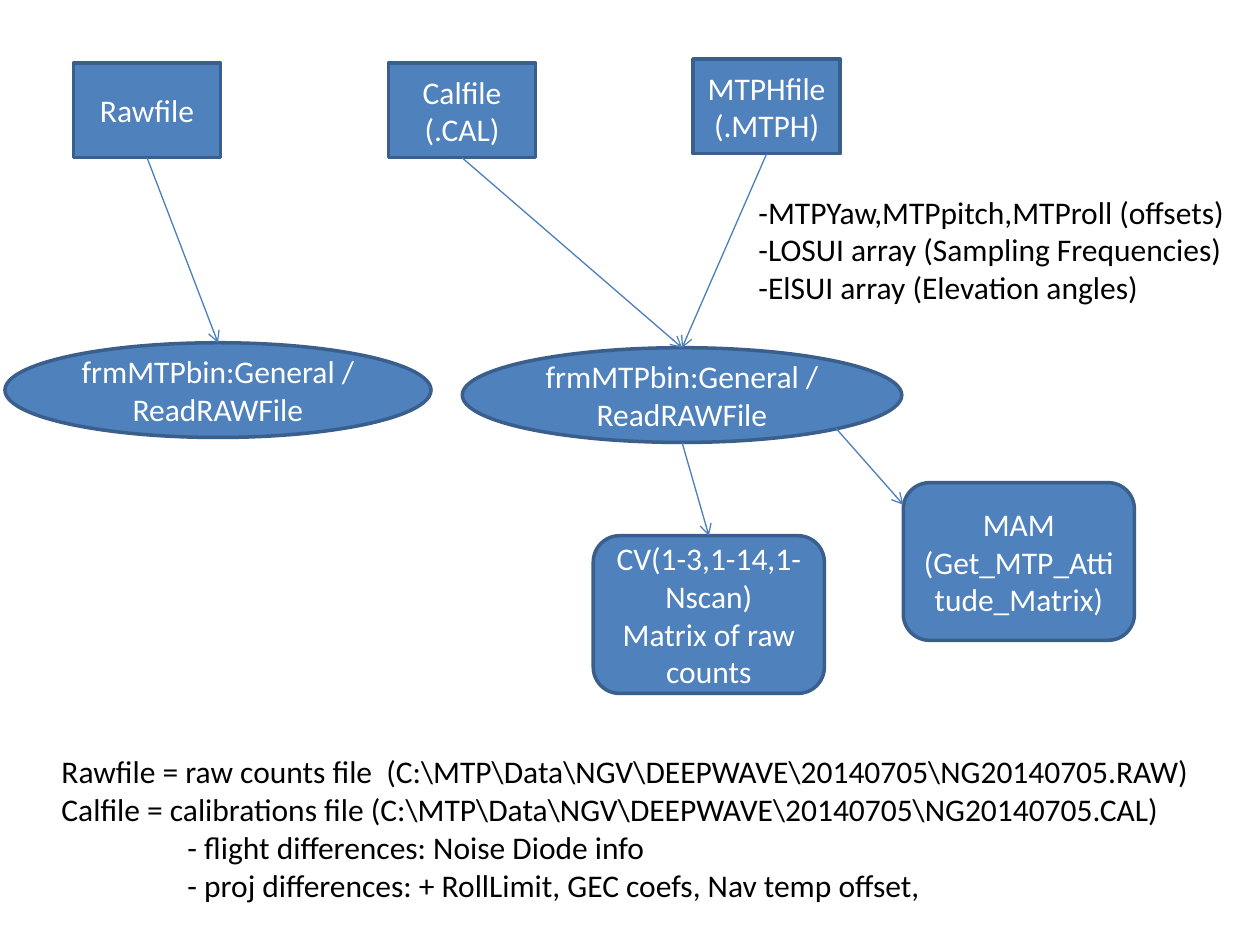
from dataclasses import dataclass

import pptx
import pptx.dml.color
import pptx.enum.shapes
import pptx.enum.text
import pptx.oxml.ns
import pptx.util
from lxml import etree

Cm = pptx.util.Cm
Pt = pptx.util.Pt
RGBColor = pptx.dml.color.RGBColor
Preset = pptx.enum.shapes.MSO_SHAPE
Align = pptx.enum.text.PP_ALIGN
Anchor = pptx.enum.text.MSO_ANCHOR
AutoSize = pptx.enum.text.MSO_AUTO_SIZE


@dataclass(frozen=True)
class Theme:
    fill: RGBColor = RGBColor(0x4F, 0x81, 0xBD)
    outline: RGBColor = RGBColor(0x3A, 0x5F, 0x8C)
    arrow: RGBColor = RGBColor(0x4B, 0x7E, 0xBC)
    light: RGBColor = RGBColor(0xFF, 0xFF, 0xFF)
    dark: RGBColor = RGBColor(0, 0, 0)
    font: str = "Calibri"
    size: int = 18
    outline_width: float = 2
    arrow_width: float = 0.75


@dataclass(frozen=True)
class Node:
    preset: Preset
    left: float
    top: float
    width: float
    height: float
    lines: tuple[str, ...]

    def point(self, across: float, down: float) -> tuple[int, int]:
        return Cm(self.left + across * self.width), Cm(self.top + down * self.height)


@dataclass(frozen=True)
class Arrow:
    source: Node
    target: Node
    leave: tuple[float, float] = (0.5, 1)
    arrive: tuple[float, float] = (0.5, 0)


@dataclass(frozen=True)
class Note:
    left: float
    top: float
    width: float
    height: float
    lines: tuple[str, ...]
    details: tuple[str, ...] = ()


THEME = Theme()
DETAIL_INDENT = Cm(2.54)


def apply(target: object, values: dict[str, object]) -> None:
    for name, value in values.items():
        setattr(target, name, value)


def write(frame, lines: tuple[str, ...], color: RGBColor, align: Align) -> None:
    frame.text = "\n".join(lines)
    for paragraph in frame.paragraphs:
        paragraph.alignment = align
        for run in paragraph.runs:
            apply(run.font, {"name": THEME.font, "size": Pt(THEME.size)})
            run.font.color.rgb = color


def draw_node(slide, node: Node) -> None:
    shape = slide.shapes.add_shape(
        node.preset, *map(Cm, (node.left, node.top, node.width, node.height)))
    shape.shadow.inherit = False
    shape.fill.solid()
    shape.fill.fore_color.rgb = THEME.fill
    shape.line.color.rgb = THEME.outline
    shape.line.width = Pt(THEME.outline_width)
    apply(shape.text_frame, {"word_wrap": True, "vertical_anchor": Anchor.MIDDLE})
    write(shape.text_frame, node.lines, THEME.light, Align.CENTER)


def draw_arrow(slide, arrow: Arrow) -> None:
    connector = slide.shapes.add_connector(
        pptx.enum.shapes.MSO_CONNECTOR.STRAIGHT,
        *arrow.source.point(*arrow.leave), *arrow.target.point(*arrow.arrive))
    connector.line.color.rgb = THEME.arrow
    connector.line.width = Pt(THEME.arrow_width)
    qn = pptx.oxml.ns.qn
    properties = connector.element.spPr
    etree.SubElement(properties.find(qn("a:ln")), qn("a:tailEnd"), type="arrow")
    etree.SubElement(properties, qn("a:effectLst"))


def draw_note(slide, note: Note) -> None:
    box = slide.shapes.add_textbox(
        *map(Cm, (note.left, note.top, note.width, note.height)))
    apply(box.text_frame, {"word_wrap": False, "auto_size": AutoSize.SHAPE_TO_FIT_TEXT})
    write(box.text_frame, note.lines + note.details, THEME.dark, Align.LEFT)
    for paragraph in box.text_frame.paragraphs[len(note.lines):]:
        paragraph._p.get_or_add_pPr().set("marL", str(DETAIL_INDENT))


def input_file(left: float, top: float, *lines: str) -> Node:
    return Node(Preset.RECTANGLE, left, top, 2.97, 1.91, lines)


def reader(left: float, top: float, width: float) -> Node:
    return Node(Preset.OVAL, left, top, width, 1.91,
                ("frmMTPbin:General /", "ReadRAWFile"))


def result(left: float, top: float, *lines: str) -> Node:
    return Node(Preset.ROUNDED_RECTANGLE, left, top, 4.66, 3.18, lines)


rawfile = input_file(1.48, 1.27, "Rawfile")
calfile = input_file(7.83, 1.27, "Calfile", "(.CAL)")
mtphfile = input_file(13.97, 1.19, "MTPHfile", "(.MTPH)")
raw_reader = reader(0.1, 6.91, 8.59)
cal_reader = reader(9.32, 7.01, 8.86)
attitude_matrix = result(18.21, 9.73, "MAM", "(Get_MTP_Attitude_Matrix)")
counts_matrix = result(11.96, 10.8, "CV(1-3,1-14,1-Nscan)", "Matrix of raw counts")

NODES = (rawfile, calfile, mtphfile, raw_reader, cal_reader,
         attitude_matrix, counts_matrix)
ARROWS = (
    Arrow(rawfile, raw_reader),
    Arrow(calfile, cal_reader),
    Arrow(mtphfile, cal_reader),
    Arrow(cal_reader, attitude_matrix, leave=(0.85, 0.85), arrive=(0, 0.14)),
    Arrow(cal_reader, counts_matrix),
)
NOTES = (
    Note(15.04, 3.76, 10.01, 2.57, (
        "-MTPYaw,MTPpitch,MTProll (offsets)",
        "-LOSUI array (Sampling Frequencies)",
        "-ElSUI array (Elevation angles)")),
    Note(0.99, 15.04, 23.5, 3.33, (
        r"Rawfile = raw counts file  (C:\MTP\Data\NGV\DEEPWAVE\20140705\NG20140705.RAW)",
        r"Calfile = calibrations file (C:\MTP\Data\NGV\DEEPWAVE\20140705\NG20140705.CAL)"),
        ("- flight differences: Noise Diode info",
         "- proj differences: + RollLimit, GEC coefs, Nav temp offset,")),
)

deck = pptx.Presentation()
apply(deck, {"slide_width": Cm(25.4), "slide_height": Cm(19.05)})
slide = deck.slides.add_slide(deck.slide_layouts[6])
for node in NODES:
    draw_node(slide, node)
for arrow in ARROWS:
    draw_arrow(slide, arrow)
for note in NOTES:
    draw_note(slide, note)
deck.save("out.pptx")
